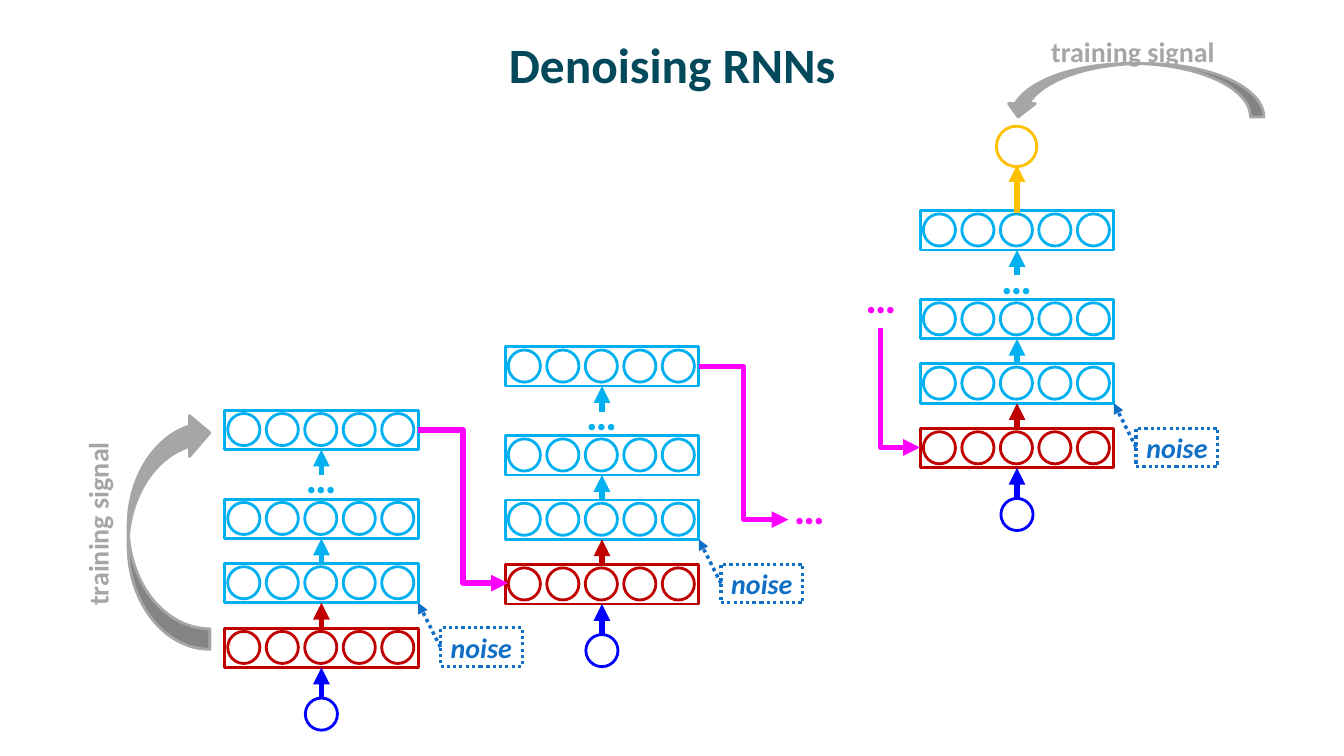
from pptx import Presentation
from pptx import util as u
from pptx.dml.color import RGBColor
from pptx.enum import dml, shapes, text
from pptx.oxml import parse_xml
from pptx.oxml.ns import nsdecls, qn

NAVY = RGBColor(0x03, 0x49, 0x5C)
BLUE = RGBColor(0x00, 0x00, 0xFF)
RED = RGBColor(0xC0, 0x00, 0x00)
SKY = RGBColor(0x00, 0xB0, 0xF0)
GOLD = RGBColor(0xFF, 0xC0, 0x00)
PINK = RGBColor(0xFF, 0x00, 0xFF)
NOISE = RGBColor(0x0F, 0x6F, 0xC6)
GREY = RGBColor(0xA6, 0xA6, 0xA6)

LAYER_W, LAYER_H = 4.88, 0.99
LAYERS = [(0, SKY), (2.24, SKY), (3.86, SKY), (5.49, RED)]
UNIT, UNIT_PITCH = 0.81, 0.97
INPUT_TOP = 7.25
STEPS = [(5.66, 10.34), (12.73, 8.74), (23.19, 5.31)]


def add_shape(s, kind, x, y, w, h, color, width=2):
    """Add an unfilled outlined shape."""
    sp = s.shapes.add_shape(kind, u.Cm(x), u.Cm(y), u.Cm(w), u.Cm(h))
    sp.shadow.inherit = False
    sp.fill.background()
    sp.line.color.rgb = color
    sp.line.width = u.Pt(width)
    return sp


def add_arrow(s, x1, y1, x2, y2, color, width=4, kind=shapes.MSO_CONNECTOR.STRAIGHT):
    """Add a connector with a triangle at its end."""
    c = s.shapes.add_connector(kind, u.Cm(x1), u.Cm(y1), u.Cm(x2), u.Cm(y2))
    c.line.color.rgb = color
    c.line.width = u.Pt(width)
    c.line._get_or_add_ln().append(parse_xml(f'<a:tailEnd {nsdecls("a")} type="triangle"/>'))
    c._element.spPr.append(parse_xml(f'<a:effectLst {nsdecls("a")}/>'))
    return c


def write(sp, words, size, color, align=text.PP_ALIGN.LEFT, italic=None):
    """Put one bold run into a shape."""
    tf = sp.text_frame
    p = tf.paragraphs[0]
    p.alignment = align
    r = p.add_run()
    r.text = words
    r.font.name = "Calibri"
    r.font.size = u.Pt(size)
    r.font.bold = True
    r.font.italic = italic
    r.font.color.rgb = color
    return tf


def add_label(s, words, x, y, w, h, size, color):
    """Add a one-line text box."""
    sp = s.shapes.add_textbox(u.Cm(x), u.Cm(y), u.Cm(w), u.Cm(h))
    write(sp, words, size, color).word_wrap = False
    return sp


def add_title(s, x, y, w, h):
    """Add the centred slide title."""
    sp = s.shapes.add_textbox(u.Cm(x), u.Cm(y), u.Cm(w), u.Cm(h))
    tf = write(sp, "Denoising RNNs", 35.3, NAVY, text.PP_ALIGN.CENTER)
    tf.word_wrap = True
    tf.vertical_anchor = text.MSO_ANCHOR.MIDDLE


def add_layer(s, x, y, color):
    """Add a row of five units in a frame."""
    for i in range(5):
        add_shape(s, shapes.MSO_SHAPE.OVAL, x + 0.08 + i * UNIT_PITCH, y + 0.08, UNIT, UNIT, color)
    add_shape(s, shapes.MSO_SHAPE.RECTANGLE, x, y, LAYER_W, LAYER_H, color)


def add_noise(s, x, y):
    """Add the noise box and its arrow beside a step."""
    left, top, w, h = x + 5.44, y + 5.48, 2.06, 0.97
    sp = add_shape(s, shapes.MSO_SHAPE.RECTANGLE, left, top, w, h, NOISE, 2.25)
    sp.line.dash_style = dml.MSO_LINE.ROUND_DOT
    tf = write(sp, "noise", 20, NOISE, text.PP_ALIGN.CENTER, True)
    tf.word_wrap = False
    tf.margin_top = tf.margin_bottom = u.Cm(0.05)
    c = add_arrow(s, left, top + h / 2, x + LAYER_W, y + 4.85, NOISE, 2.5)
    c.line.dash_style = dml.MSO_LINE.ROUND_DOT


def add_step(s, x, y):
    """Add one time step: input unit, layers, arrows and noise."""
    mid = x + LAYER_W / 2
    add_shape(s, shapes.MSO_SHAPE.OVAL, mid - UNIT / 2, y + INPUT_TOP, UNIT, UNIT, BLUE)
    for top, color in LAYERS:
        add_layer(s, x, y + top, color)
    arrows = [(INPUT_TOP, 5.49, BLUE), (5.49, 3.86, RED), (3.86, 2.24, SKY), (1.63, 0, SKY)]
    for start, target, color in arrows:
        add_arrow(s, mid, y + start, mid, y + target + LAYER_H, color)
    add_label(s, "…", mid - 0.65, y + 0.89, 1.3, 1.57, 31, SKY)
    add_noise(s, x, y)


def add_output(s, x, y):
    """Add the output unit above a step."""
    mid = x + LAYER_W / 2
    add_shape(s, shapes.MSO_SHAPE.OVAL, mid - 0.52, y - 2.13, 1.02, 1.02, GOLD)
    add_arrow(s, mid, y + 0.05, mid, y - 1.15, GOLD)


def add_recurrence(s):
    """Link the time steps, with dots for those left out."""
    for x, y in STEPS[:2]:
        right, mid = x + LAYER_W, y + LAYER_H / 2
        add_arrow(s, right, mid, right + 2.26, mid + 3.86, PINK, kind=shapes.MSO_CONNECTOR.ELBOW)
    add_label(s, "…", 19.76, 12.01, 1.3, 1.57, 31, PINK)
    add_label(s, "…", 21.56, 6.68, 1.3, 1.57, 31, PINK)
    c = add_arrow(s, 21.18, 9.27, 24.2, 10.26, PINK, kind=shapes.MSO_CONNECTOR.ELBOW)
    c._element.spPr.find(qn("a:prstGeom")).set("prst", "bentConnector2")
    xfrm = c._element.spPr.find(qn("a:xfrm"))
    xfrm.set("rot", "16200000")
    xfrm.set("flipH", "1")


def add_curve(s, x, y, w, h, rotation):
    """Add a grey curved arrow."""
    sp = add_shape(s, shapes.MSO_SHAPE.CURVED_RIGHT_ARROW, x, y, w, h, GREY)
    sp.fill.solid()
    sp.fill.fore_color.rgb = GREY
    sp.rotation = rotation
    return sp


def add_training_signals(s):
    """Add the two labelled training signals."""
    sp = add_curve(s, 3.23, 10.39, 2.06, 5.97, 180)
    sp._element.spPr.find(qn("a:xfrm")).set("flipH", "1")
    add_label(s, "training signal", 0.13, 12.62, 4.67, 1.12, 20, GREY).rotation = 270
    add_curve(s, 27.91, -0.99, 1.35, 6.53, 90)
    add_label(s, "training signal", 26.24, 0.74, 4.67, 1.12, 20, GREY)


def main():
    """Build the slide and save it."""
    prs = Presentation()
    prs.slide_width, prs.slide_height = u.Cm(33.87), u.Cm(19.05)
    s = prs.slides.add_slide(prs.slide_layouts[6])
    add_title(s, 1.7, 0.43, 30.48, 2.34)
    for x, y in STEPS:
        add_step(s, x, y)
    add_output(s, *STEPS[-1])
    add_recurrence(s)
    add_training_signals(s)
    prs.save("out.pptx")


if __name__ == "__main__":
    main()
